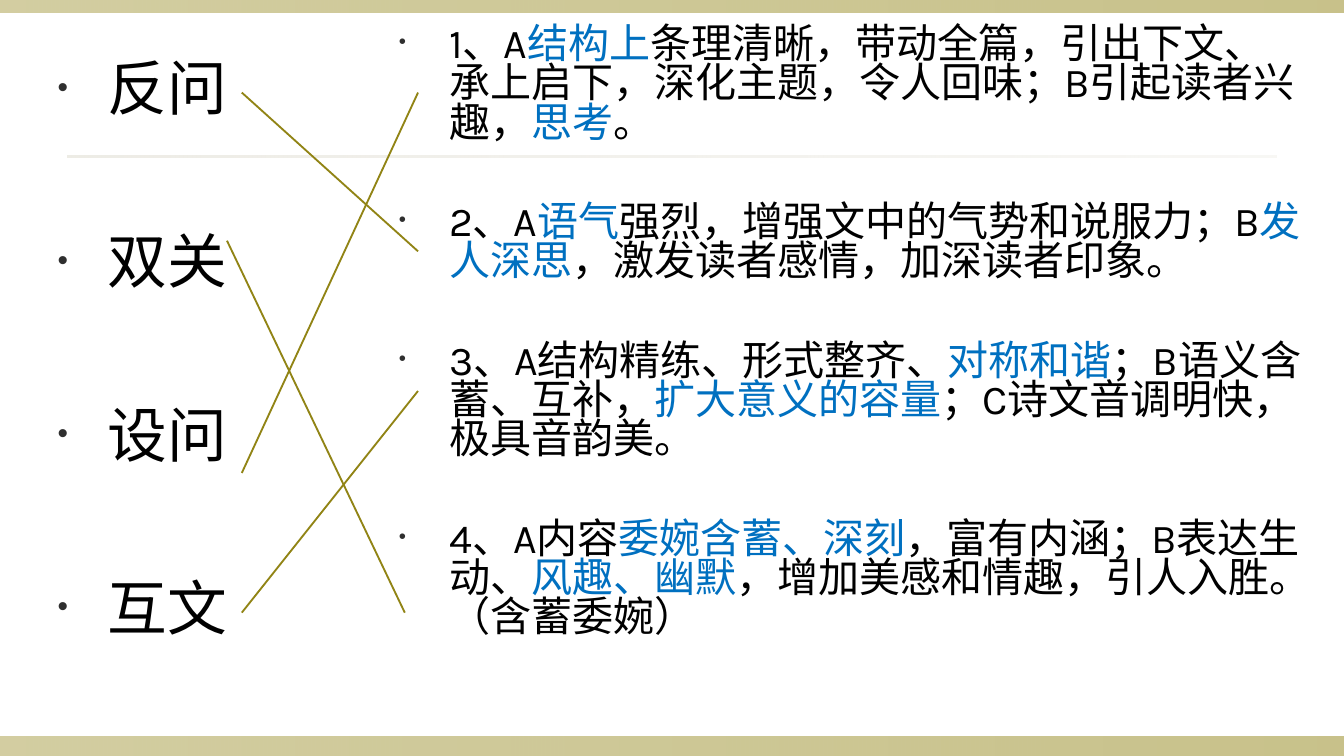
import pptx
import pptx.dml.color
import pptx.enum.shapes
import pptx.enum.text
import pptx.oxml
import pptx.oxml.ns
import pptx.util
from lxml import etree

Cm, Pt = pptx.util.Cm, pptx.util.Pt
RGBColor = pptx.dml.color.RGBColor
qn = pptx.oxml.ns.qn

BLACK = RGBColor(0x00, 0x00, 0x00)
BLUE = RGBColor(0x00, 0x70, 0xC0)
OLIVE = RGBColor(0x91, 0x84, 0x15)
SAND = RGBColor(0xDC, 0xD9, 0xCC)
BULLET = RGBColor(0x2F, 0x2F, 0x2F)

devices = [[("反问", BLACK)], [("双关", BLACK)], [("设问", BLACK)], [("互文", BLACK)]]
effects = [
    [("1、A", BLACK), ("结构上", BLUE),
     ("条理清晰，带动全篇，引出下文、承上启下，深化主题，令人回味；B引起读者兴趣，", BLACK),
     ("思考", BLUE), ("。", BLACK)],
    [("2、A", BLACK), ("语气", BLUE), ("强烈，增强文中的气势和说服力；B", BLACK),
     ("发人深思", BLUE), ("，激发读者感情，加深读者印象。", BLACK)],
    [("3、A结构精练、形式整齐、", BLACK), ("对称和谐", BLUE), ("；B语义含蓄、互补，", BLACK),
     ("扩大意义的容量", BLUE), ("；C诗文音调明快，极具音韵美。", BLACK)],
    [("4、A内容", BLACK), ("委婉含蓄、深刻", BLUE), ("，富有内涵；B表达生动、", BLACK),
     ("风趣、幽默", BLUE), ("，增加美感和情趣，引人入胜。（含蓄委婉）", BLACK)],
]
bands = [
    ((0, 13.92, 25.4, 0.38), OLIVE, (40, 50)),
    ((0, 0, 25.4, 0.23), OLIVE, (40, 50)),
    ((1.27, 2.94, 22.86, 0.04), SAND, (50, 20)),
]
matches = [
    (4.57, 1.75, 7.9, 4.75),
    (4.57, 8.94, 7.9, 1.75),
    (4.29, 4.55, 7.65, 11.58),
    (4.57, 11.58, 7.9, 7.39),
]
columns = [
    (effects, (7.29, 0.38, 17.6, 13.36), 22, 32.1, 0.8,
     {"word_wrap": True}),
    (devices, (0.84, 0.84, 3.71, 11.43), 32, 54.4, 1.0,
     {"word_wrap": False, "auto_size": pptx.enum.text.MSO_AUTO_SIZE.SHAPE_TO_FIT_TEXT}),
]


def apply(target, values):
    for name, value in values.items():
        setattr(target, name, value)


def add_band(slide, box, color, opacities):
    band = slide.shapes.add_shape(pptx.enum.shapes.MSO_SHAPE.RECTANGLE, *map(Cm, box))
    band.shadow.inherit = False
    band.line.fill.background()
    band.fill.gradient()
    band.fill.gradient_angle = 0
    for stop, opacity in zip(band.fill.gradient_stops, opacities):
        stop.color.rgb = color
    for tint, opacity in zip(band._element.spPr.iter(qn("a:srgbClr")), opacities):
        etree.SubElement(tint, qn("a:alpha")).set("val", str(opacity * 1000))


def add_bullet(paragraph):
    properties = paragraph._p.get_or_add_pPr()
    properties.set("marL", str(Cm(0.95)))
    properties.set("indent", str(-Cm(0.95)))
    bullet_color = etree.SubElement(properties, qn("a:buClr"))
    etree.SubElement(bullet_color, qn("a:srgbClr")).set("val", str(BULLET))
    for tag, key, value in [("a:buSzPct", "val", "50000"),
                            ("a:buFont", "typeface", "Arial"),
                            ("a:buChar", "char", "•")]:
        etree.SubElement(properties, qn(tag)).set(key, value)


def add_column(slide, items, box, size, gap, spacing, frame_format):
    frame = slide.shapes.add_textbox(*map(Cm, box)).text_frame
    apply(frame, frame_format)
    for index, item in enumerate(items):
        paragraph = frame.add_paragraph() if index else frame.paragraphs[0]
        add_bullet(paragraph)
        apply(paragraph, {"line_spacing": spacing, "space_before": Pt(gap if index else 0)})
        for words, color in item:
            run = paragraph.add_run()
            run.text = words
            apply(run.font, {"name": "Karla", "size": Pt(size)})
            run.font.color.rgb = color


def add_match(slide, ends):
    match = slide.shapes.add_connector(pptx.enum.shapes.MSO_CONNECTOR.STRAIGHT, *map(Cm, ends))
    match.line.color.rgb = OLIVE
    match.line.width = Pt(1)
    etree.SubElement(match._element.spPr, qn("a:effectLst"))


def main():
    deck = pptx.Presentation()
    apply(deck, {"slide_width": Cm(25.4), "slide_height": Cm(14.29)})
    slide = deck.slides.add_slide(deck.slide_layouts[6])
    for band in bands:
        add_band(slide, *band)
    for column in columns:
        add_column(slide, *column)
    for ends in matches:
        add_match(slide, ends)
    deck.save("out.pptx")


if __name__ == "__main__":
    main()
